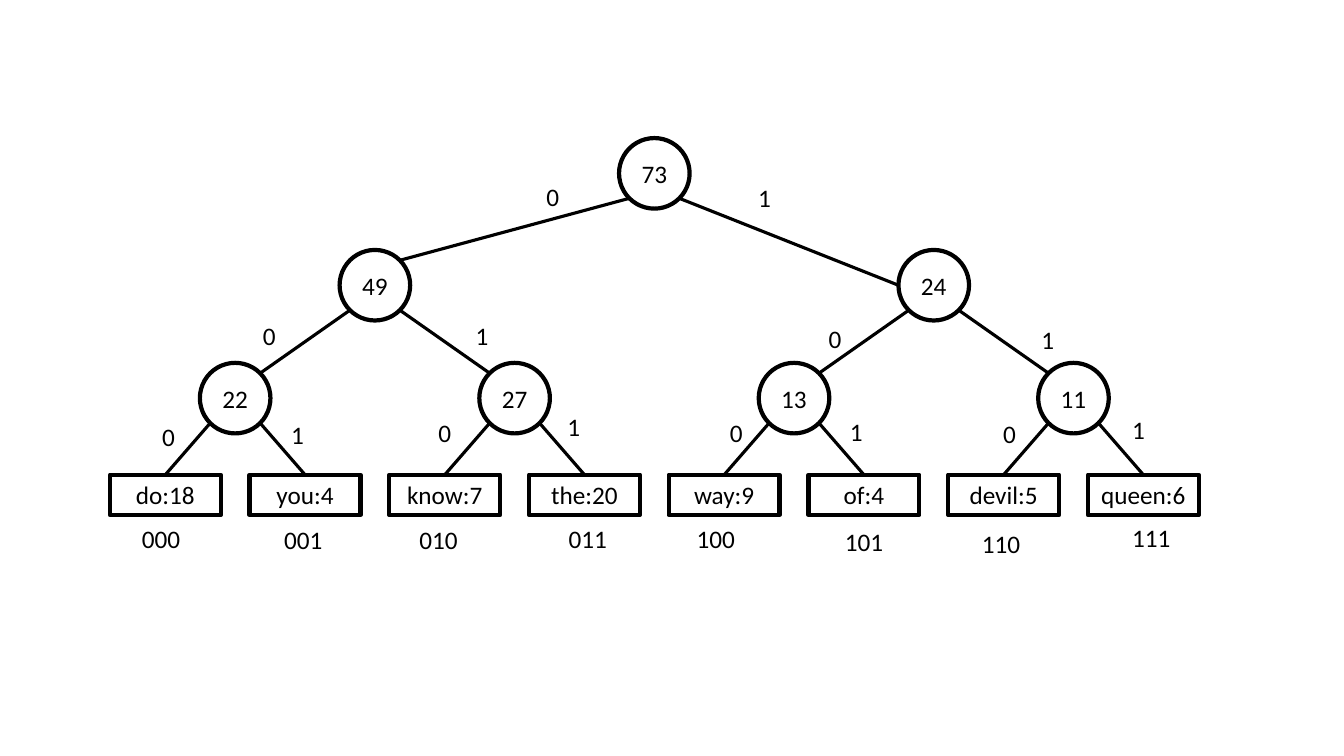
import pptx
import pptx.util
import pptx.dml.color
import pptx.enum.shapes
import pptx.enum.text
import pptx.oxml.ns
import lxml.etree

Inches, Pt = pptx.util.Inches, pptx.util.Pt
MSO_SHAPE = pptx.enum.shapes.MSO_SHAPE
PP_ALIGN = pptx.enum.text.PP_ALIGN

# Content: sums per tree level, then word counts
SUMS = [[73], [49, 24], [22, 27, 13, 11]]
WORDS = ["do:18", "you:4", "know:7", "the:20", "way:9", "of:4", "devil:5", "queen:6"]

# Left and top of the bit beside each branch, per level, left to right
BIT_SPOTS = [
    [(5.32, 1.75), (7.42, 1.76)],
    [(2.51, 3.13), (4.62, 3.13), (8.12, 3.16), (10.23, 3.17)],
    [(1.51, 4.13), (2.79, 4.11), (4.25, 4.09), (5.53, 4.03),
     (7.14, 4.09), (8.33, 4.08), (9.85, 4.10), (11.13, 4.06)],
]
# Left and top of the code under each word
CODE_SPOTS = [(1.31, 5.14), (2.72, 5.15), (4.06, 5.15), (5.54, 5.14),
              (6.81, 5.14), (8.28, 5.17), (9.64, 5.19), (11.13, 5.13)]

# Layout
FIRST_WORD_X, WORD_STEP = 1.64, 9.7 / 7
SUM_YS = [1.72, 2.83, 3.95]
WORD_TOP, WORD_W, WORD_H = 4.71, 1.1, 0.4
DIAMETER = 0.7
DIAGONAL = DIAMETER / 2 * 0.5 ** 0.5
BIT_W, CODE_W, LABEL_H = 0.33, 0.59, 0.4
INK = "000000"
FONT = {"name": "Calibri", "size": Pt(18)}


def colour(hex_string):
    return pptx.dml.color.RGBColor.from_string(hex_string)


def write(frame, text, align):
    paragraph = frame.paragraphs[0]
    paragraph.alignment = align
    run = paragraph.add_run()
    run.text = text
    for key, value in FONT.items():
        setattr(run.font, key, value)
    run.font.color.rgb = colour(INK)


def outline(line, width):
    line.color.rgb = colour(INK)
    line.width = Pt(width)


def add_node(preset, x, y, width, height, text):
    node = slide.shapes.add_shape(preset, Inches(x - width / 2), Inches(y - height / 2),
                                  Inches(width), Inches(height))
    node.shadow.inherit = False
    node.fill.background()
    outline(node.line, 3)
    node.text_frame.vertical_anchor = pptx.enum.text.MSO_ANCHOR.MIDDLE
    write(node.text_frame, text, PP_ALIGN.CENTER)


def add_branch(start, end):
    branch = slide.shapes.add_connector(pptx.enum.shapes.MSO_CONNECTOR.STRAIGHT,
                                        *map(Inches, start + end))
    outline(branch.line, 2.25)
    lxml.etree.SubElement(branch._element.spPr, pptx.oxml.ns.qn("a:effectLst"))


def add_label(spot, width, text):
    label = slide.shapes.add_textbox(*map(Inches, spot + (width, LABEL_H)))
    label.text_frame.word_wrap = False
    label.text_frame.auto_size = pptx.enum.text.MSO_AUTO_SIZE.SHAPE_TO_FIT_TEXT
    write(label.text_frame, text, PP_ALIGN.LEFT)


def centre_x(level, index):
    """Middle of the words below a node; level 3 holds the words."""
    span = 2 ** (3 - level)
    return FIRST_WORD_X + WORD_STEP * (index * span + (span - 1) / 2)


deck = pptx.Presentation()
deck.slide_width, deck.slide_height = Inches(13.33), Inches(7.5)
slide = deck.slides.add_slide(deck.slide_layouts[6])

# Words
for index, word in enumerate(WORDS):
    add_node(MSO_SHAPE.RECTANGLE, centre_x(3, index), WORD_TOP + WORD_H / 2,
             WORD_W, WORD_H, word)

# Sums
for level, sums in enumerate(SUMS):
    for index, total in enumerate(sums):
        add_node(MSO_SHAPE.OVAL, centre_x(level, index), SUM_YS[level],
                 DIAMETER, DIAMETER, str(total))

# Branches and their bits
for level, spots in enumerate(BIT_SPOTS):
    for child, spot in enumerate(spots):
        parent, bit = divmod(child, 2)
        side = 2 * bit - 1
        start = (centre_x(level, parent) + side * DIAGONAL, SUM_YS[level] + DIAGONAL)
        child_x = centre_x(level + 1, child)
        if level == 2:
            end = (child_x, WORD_TOP)
        elif (level, bit) == (0, 1):  # the root's right branch meets the circle's side
            end = (child_x - DIAMETER / 2, SUM_YS[1])
        else:
            end = (child_x - side * DIAGONAL, SUM_YS[level + 1] - DIAGONAL)
        add_branch(start, end)
        add_label(spot, BIT_W, str(bit))

# Codes
for index, spot in enumerate(CODE_SPOTS):
    add_label(spot, CODE_W, f"{index:03b}")

deck.save("out.pptx")
